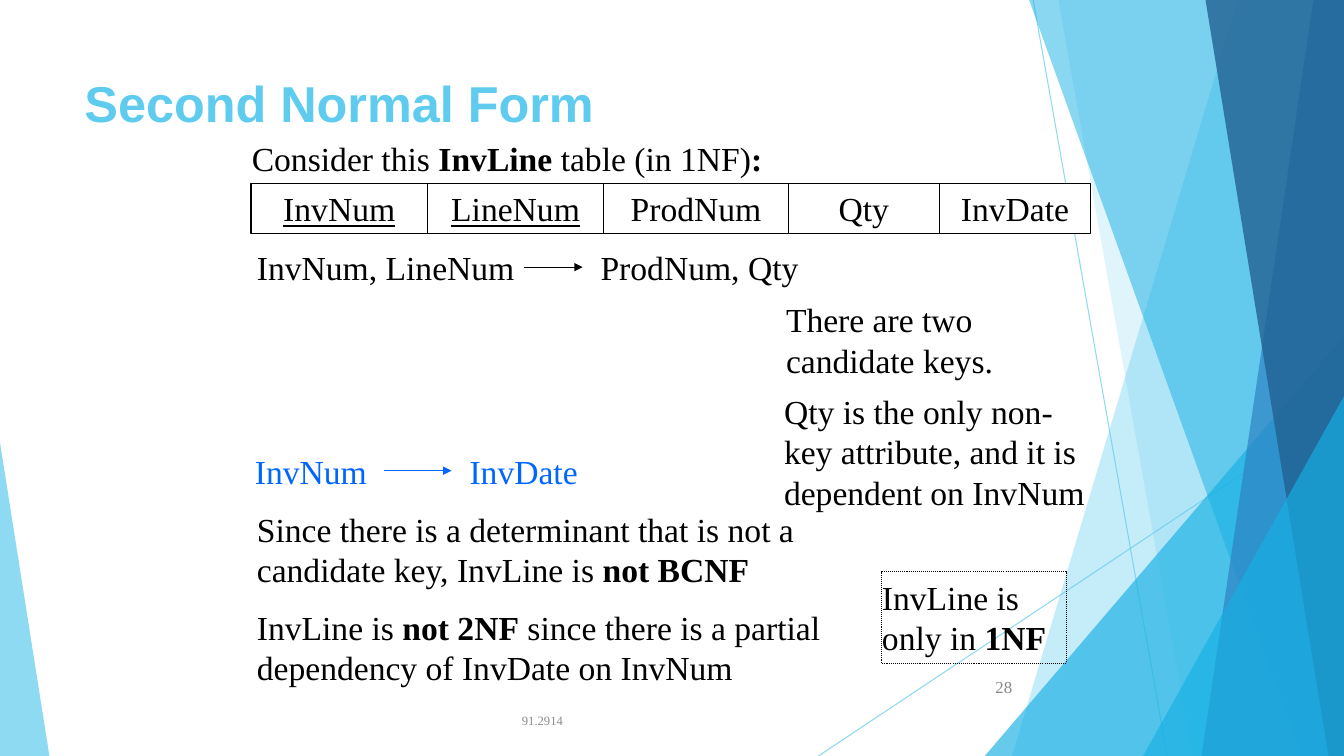
from lxml import etree
from pptx import Presentation
from pptx.dml.color import RGBColor
from pptx.enum.dml import MSO_LINE
from pptx.enum.shapes import MSO_CONNECTOR, MSO_SHAPE
from pptx.enum.text import MSO_ANCHOR, PP_ALIGN
from pptx.oxml.ns import qn
from pptx.util import Pt

STRAIGHT = MSO_CONNECTOR.STRAIGHT
RECT, WEDGE = MSO_SHAPE.RECTANGLE, MSO_SHAPE.ISOSCELES_TRIANGLE
DOTS = MSO_LINE.ROUND_DOT
TOP, MIDDLE = MSO_ANCHOR.TOP, MSO_ANCHOR.MIDDLE
LEFT, CENTER, RIGHT = PP_ALIGN.LEFT, PP_ALIGN.CENTER, PP_ALIGN.RIGHT

BLACK = RGBColor(0x00, 0x00, 0x00)
WHITE = RGBColor(0xFF, 0xFF, 0xFF)
GRAY = RGBColor(0x8C, 0x8C, 0x8C)
PALE = RGBColor(0x89, 0x89, 0x89)
BLUE = RGBColor(0x00, 0x66, 0xFF)
SKY = RGBColor(0x5F, 0xCB, 0xEF)
CYAN = RGBColor(0x17, 0xB0, 0xE4)
STEEL = RGBColor(0x2E, 0x83, 0xC3)
NAVY = RGBColor(0x22, 0x62, 0x92)

WIDE, HIGH = 960, 540
SERIF = "Times New Roman"

deck = Presentation()
deck.slide_width, deck.slide_height = Pt(WIDE), Pt(HIGH)
slide = deck.slides.add_slide(deck.slide_layouts[6])
shapes = slide.shapes


def fade(shape, percent):
    """Make the shape's one colour partly opaque."""
    color = shape._element.spPr.find(".//" + qn("a:srgbClr"))
    etree.SubElement(color, qn("a:alpha")).set("val", str(percent * 1000))


def write(shape, text, size=24, color=BLACK, align=LEFT, anchor=TOP):
    """Fill the shape with lines of text; words between asterisks are bold."""
    frame = shape.text_frame
    frame.word_wrap, frame.vertical_anchor = True, anchor
    for row, line in enumerate(text.split("\n")):
        para = frame.add_paragraph() if row else frame.paragraphs[0]
        para.alignment = align
        para.space_before = Pt(12 if row else 0)
        para.font.name, para.font.size = SERIF, Pt(size)
        para.font.color.rgb = color
        for part, words in enumerate(line.split("*")):
            if words:
                run = para.add_run()
                run.text = words
                if part % 2:
                    run.font.bold = True


# Thin rules of the backdrop and the two dependency arrows
for x1, y1, x2, y2, color, arrow in (
    (738, 0, 833.76, HIGH, SKY, False),
    (WIDE, 290.16, 584.64, HIGH, SKY, False),
    (374.4, 190.8, 416.16, 190.8, BLACK, True),
    (274.32, 336.24, 322.56, 336.24, BLUE, True),
):
    rule = shapes.add_connector(STRAIGHT, Pt(x1), Pt(y1), Pt(x2), Pt(y2))
    rule.line.color.rgb, rule.line.width = color, Pt(0.75)
    etree.SubElement(rule._element.spPr, qn("a:effectLst"))
    if arrow:
        end = etree.SubElement(rule.line._get_or_add_ln(), qn("a:tailEnd"))
        end.set("type", "triangle")
    else:
        fade(rule, 70)

# Panes run from a slanted left edge (top x, foot x) to the right edge;
# wedges have a left, top, width and apex position.
for form, color, percent in (
    ((884.16, 722.88), SKY, 36),
    ((756, 851.76), SKY, 20),
    ((703.44, 239.76, 256.56, 1), CYAN, 66),
    ((735.12, 929.52), CYAN, 50),
    ((938.16, 858.24), STEEL, 70),
    ((861.12, 948.96), NAVY, 80),
    ((816.48, 282.96, 143.52, 1), CYAN, 66),
    ((0, 316.08, 35.28, 0), SKY, 70),
):
    if len(form) == 2:
        head, foot = form
        path = shapes.build_freeform(Pt(head), 0)
        path.add_line_segments(
            [(Pt(WIDE), 0), (Pt(WIDE), Pt(HIGH)), (Pt(foot), Pt(HIGH))]
        )
        pane = path.convert_to_shape()
    else:
        x, y, width, apex = form
        pane = shapes.add_shape(WEDGE, Pt(x), Pt(y), Pt(width), Pt(HIGH - y))
        pane.adjustments[0] = apex
    pane.shadow.inherit = False
    pane.fill.solid()
    pane.fill.fore_color.rgb = color
    pane.line.fill.background()
    fade(pane, percent)

title = shapes.add_textbox(Pt(53.28), Pt(48.24), Pt(676.8), Pt(103.68))
write(title, "*Second Normal Form*", 36, SKY)
title.text_frame.paragraphs[0].runs[0].font.name = "Arial"

# Columns of the InvLine table
x = 179.28
for name, width, key in (
    ("InvNum", 126, True),
    ("LineNum", 126, True),
    ("ProdNum", 131.76, False),
    ("Qty", 108, False),
    ("InvDate", 108, False),
):
    cell = shapes.add_shape(RECT, Pt(x), Pt(131.04), Pt(width), Pt(36))
    cell.shadow.inherit = False
    cell.fill.solid()
    cell.fill.fore_color.rgb = WHITE
    cell.line.color.rgb, cell.line.width = BLACK, Pt(0.75)
    write(cell, name, align=CENTER)
    if key:
        cell.text_frame.paragraphs[0].runs[0].font.underline = True
    x += width

REASON = (
    "Since there is a determinant that is not a candidate key, "
    "InvLine is *not BCNF*\n"
    "InvLine is *not 2NF* since there is a partial dependency of InvDate on InvNum"
)
ONLY = "Qty is the only non-key attribute, and it is dependent on InvNum"
for x, y, width, height, text, style in (
    (172.8, 95.04, 396, 36, "Consider this* InvLine *table (in 1NF)*:*", {}),
    (176.4, 172.8, 221.76, 36, "InvNum, LineNum", {}),
    (421.92, 172.8, 236.16, 36, "ProdNum, Qty", {}),
    (174.96, 318.24, 99, 36, "InvNum", {"color": BLUE}),
    (328.32, 318.24, 99, 36, "InvDate", {"color": BLUE}),
    (554.4, 210.24, 208.8, 65.52, "There are two candidate keys.", {}),
    (552.96, 275.76, 236.16, 94.32, ONLY, {}),
    (176.4, 360, 426.24, 138.24, REASON, {}),
    (365.76, 500.4, 228.24, 28.8, "91.2914",
     {"size": 9, "color": GRAY, "anchor": MIDDLE}),
    (676.08, 475.92, 54, 28.8, "28",
     {"size": 12, "color": PALE, "align": RIGHT, "anchor": MIDDLE}),
):
    box = shapes.add_textbox(Pt(x), Pt(y), Pt(width), Pt(height))
    write(box, text, **style)

verdict = shapes.add_shape(RECT, Pt(630), Pt(408.24), Pt(131.76), Pt(65.52))
verdict.shadow.inherit = False
verdict.fill.background()
verdict.line.color.rgb, verdict.line.width = BLACK, Pt(0.75)
verdict.line.dash_style = DOTS
verdict.text_frame.margin_left = 0
write(verdict, "InvLine is only in *1NF*")

deck.save("out.pptx")
